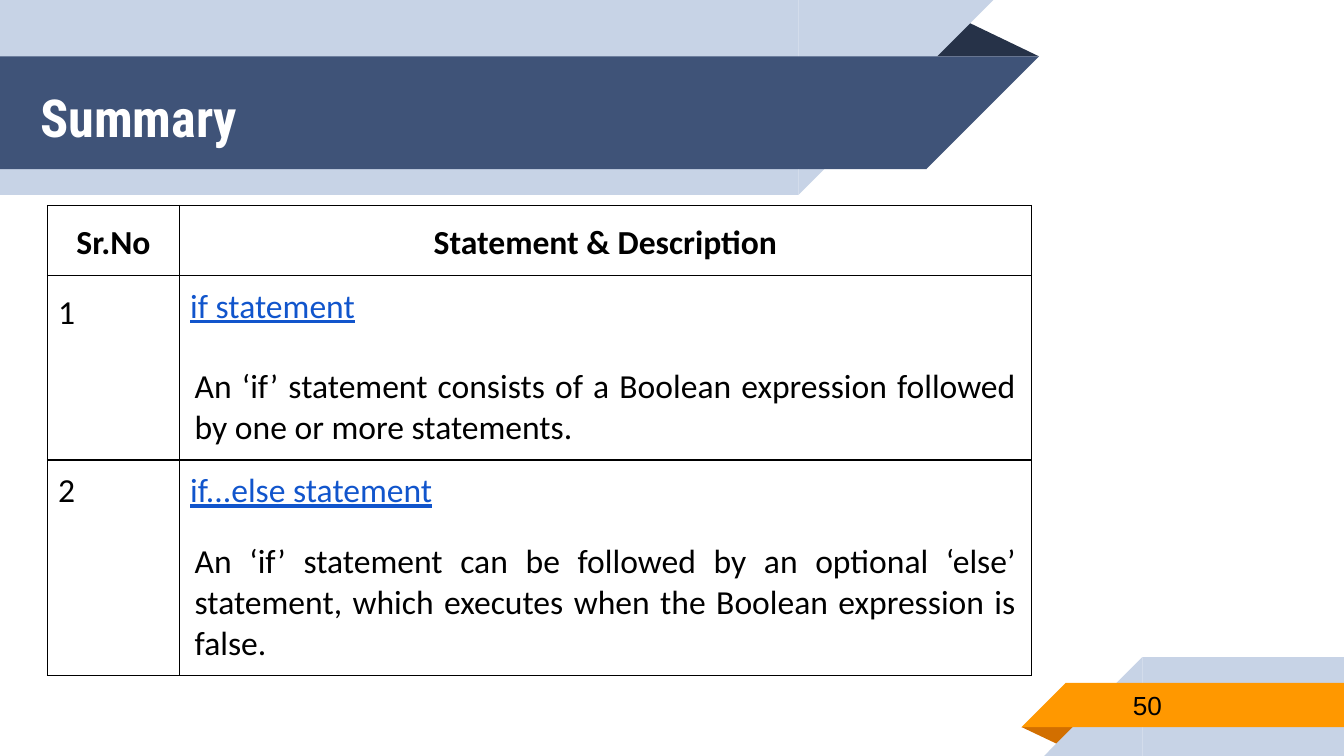
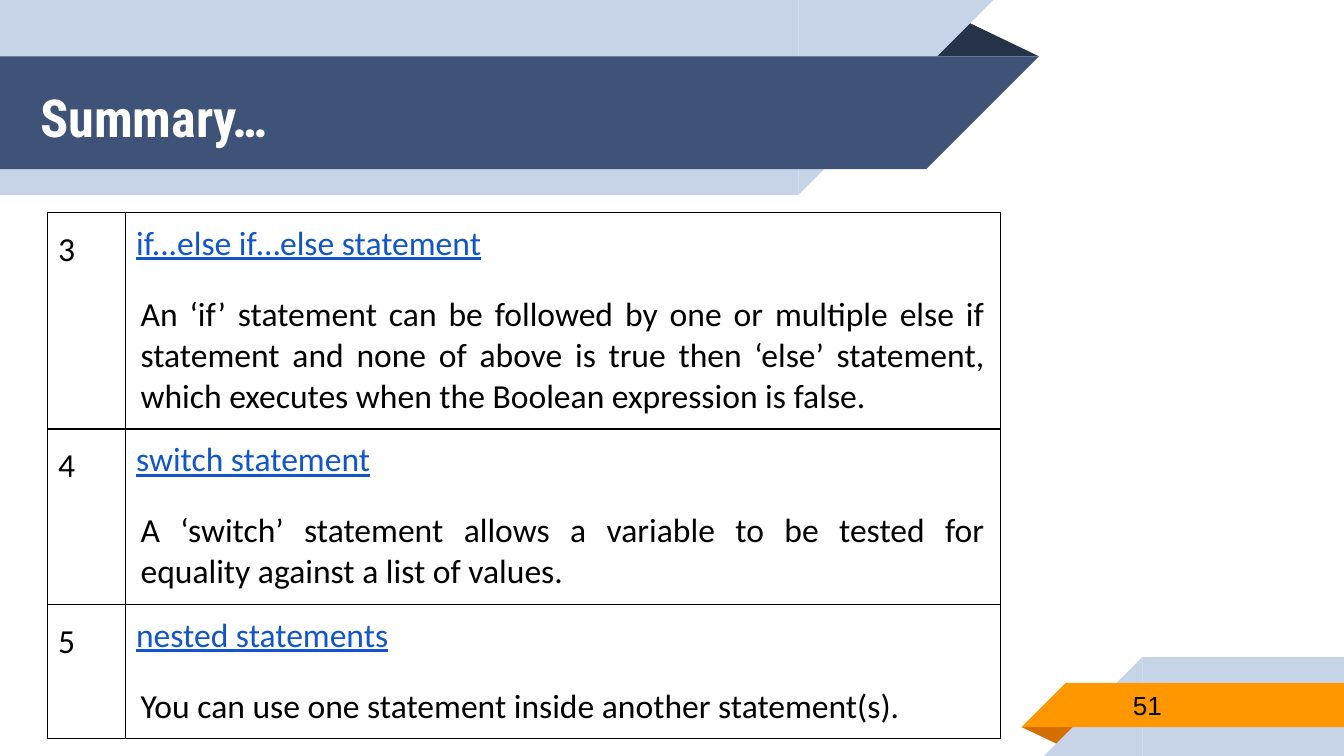
"""Build two summary slides on conditional statements, each with a table."""
from lxml import etree
from pptx import Presentation
from pptx import util as u
from pptx.dml.color import RGBColor
from pptx.enum import shapes, text
from pptx.oxml.ns import qn

Pt = u.Pt
NAVY, DARK, PALE = "3F5378", "263248", "C7D3E6"
ORANGE, RUST = "FF9800", "D26F00"
BLACK, WHITE, LINK = "000000", "FFFFFF", "1155CC"
RECTANGLE = shapes.MSO_SHAPE.RECTANGLE
CORNER = shapes.MSO_SHAPE.RIGHT_TRIANGLE
FOLD = shapes.MSO_SHAPE.ISOSCELES_TRIANGLE
CENTER, JUSTIFY = text.PP_ALIGN.CENTER, text.PP_ALIGN.JUSTIFY


def color(value):
    return RGBColor.from_string(value)


def add_run(paragraph, words, size=18, font="Calibri", fill=BLACK, bold=False, underline=False):
    run = paragraph.add_run()
    run.text = words
    run.font.size = Pt(size)
    run.font.name = font
    run.font.bold = bold
    run.font.underline = underline
    run.font.color.rgb = color(fill)


# kind, left, top, width, height, rotation, mirrored, fill
BANDS = [
    (FOLD, 495.4, 10.2, 61.2, 20, 0, False, DARK),
    (RECTANGLE, 0, 0, 427.7, 104.4, 0, False, PALE),
    (CORNER, 427.7, 0, 104.4, 104.4, 180, True, PALE),
    (RECTANGLE, 0, 30.2, 496.1, 60.5, 0, False, NAVY),
    (CORNER, 496.1, 30.2, 60.5, 60.5, 180, True, NAVY),
    (FOLD, 547.2, 389.5, 31, 10, 180, False, RUST),
    (RECTANGLE, 612, 352, 108, 53, 0, False, PALE),
    (CORNER, 559.4, 352, 52.6, 53, 0, True, PALE),
    (RECTANGLE, 571, 365.8, 149, 23.8, 0, False, ORANGE),
    (CORNER, 547.2, 365.8, 23.8, 23.8, 0, True, ORANGE),
]

# number, number line spacing, space after, heading, description
FIRST_ROWS = [
    ("1", 1.15, 15, "if statement",
     "An ‘if’ statement consists of a Boolean expression followed by one or more statements."),
    ("2", 1, 10, "if...else statement",
     "An ‘if’ statement can be followed by an optional ‘else’ statement, "
     "which executes when the Boolean expression is false."),
]
SECOND_ROWS = [
    ("3", 1.15, 10, "if...else if…else statement",
     "An ‘if’ statement can be followed by one or multiple else if statement and none of above "
     "is true then ‘else’ statement, which executes when the Boolean expression is false."),
    ("4", 1.15, 10, "switch statement",
     "A ‘switch’ statement allows a variable to be tested for equality against a list of values."),
    ("5", 1.15, 10, "nested statements",
     "You can use one statement inside another statement(s)."),
]

# title, page, table top, column widths, row heights, header, rows
SLIDES = [
    ("Summary", "50", 110, (70.8, 456.4), (37.6, 98.8, 115.6),
     ("Sr.No", "Statement & Description"), FIRST_ROWS),
    ("Summary…", "51", 113.8, (41.8, 468.6), (116, 94, 72), (), SECOND_ROWS),
]

presentation = Presentation()
presentation.slide_width, presentation.slide_height = Pt(720), Pt(405)

for title, page, top, widths, heights, header, rows in SLIDES:
    slide = presentation.slides.add_slide(presentation.slide_layouts[6])

    for kind, left, band_top, width, height, rotation, mirrored, fill in BANDS:
        shape = slide.shapes.add_shape(kind, Pt(left), Pt(band_top), Pt(width), Pt(height))
        shape.shadow.inherit = False
        shape.fill.solid()
        shape.fill.fore_color.rgb = color(fill)
        shape.line.fill.background()
        shape.rotation = rotation
        if kind == FOLD:
            shape.adjustments[0] = 0.32
        if mirrored:
            shape.element.spPr.find(qn("a:xfrm")).set("flipH", "1")

    for words, box, style in (
        (title, (14.4, 32.4, 432.7, 60.5), (28, "Roboto Condensed", WHITE, True)),
        (page, (599.8, 365, 117.4, 25.2), (14, "Arial", BLACK)),
    ):
        frame = slide.shapes.add_textbox(*map(Pt, box)).text_frame
        frame.word_wrap = True
        frame.vertical_anchor = text.MSO_ANCHOR.MIDDLE
        frame.margin_left = frame.margin_right = Pt(7.2)
        frame.margin_top = frame.margin_bottom = Pt(7.2)
        add_run(frame.paragraphs[0], words, *style)

    table = slide.shapes.add_table(
        len(heights), 2, Pt(25.4), Pt(top), Pt(sum(widths)), Pt(sum(heights))).table
    table.first_row = table.horz_banding = False
    for column, width in zip(table.columns, widths):
        column.width = Pt(width)
    for row, height in zip(table.rows, heights):
        row.height = Pt(height)

    for cell in table.iter_cells():
        cell.margin_left = cell.margin_right = Pt(5.75)
        cell.margin_top = cell.margin_bottom = Pt(5.75)
        properties = cell._tc.get_or_add_tcPr()
        for side in ("a:lnL", "a:lnR", "a:lnT", "a:lnB"):
            border = etree.SubElement(properties, qn(side), w=str(Pt(0.75)))
            solid = etree.SubElement(border, qn("a:solidFill"))
            etree.SubElement(solid, qn("a:srgbClr"), val=BLACK)
        cell.fill.background()

    for index, label in enumerate(header):
        paragraph = table.cell(0, index).text_frame.paragraphs[0]
        paragraph.alignment = CENTER
        paragraph.line_spacing = 1.15
        paragraph.space_after = Pt(15)
        add_run(paragraph, label, bold=True)

    first = 1 if header else 0
    for index, (number, spacing, after, heading, description) in enumerate(rows, first):
        paragraph = table.cell(index, 0).text_frame.paragraphs[0]
        paragraph.line_spacing = spacing
        paragraph.space_after = Pt(after)
        add_run(paragraph, number)

        frame = table.cell(index, 1).text_frame
        paragraph = frame.paragraphs[0]
        paragraph.space_after = Pt(after)
        add_run(paragraph, heading, fill=LINK, underline=True)

        paragraph = frame.add_paragraph()
        paragraph.alignment = JUSTIFY
        paragraph.space_before, paragraph.space_after = Pt(6), Pt(7.2)
        indents = paragraph._p.get_or_add_pPr()
        for name in ("marL", "marR"):
            indents.set(name, str(Pt(2.4)))
        add_run(paragraph, description)

presentation.save("out.pptx")
